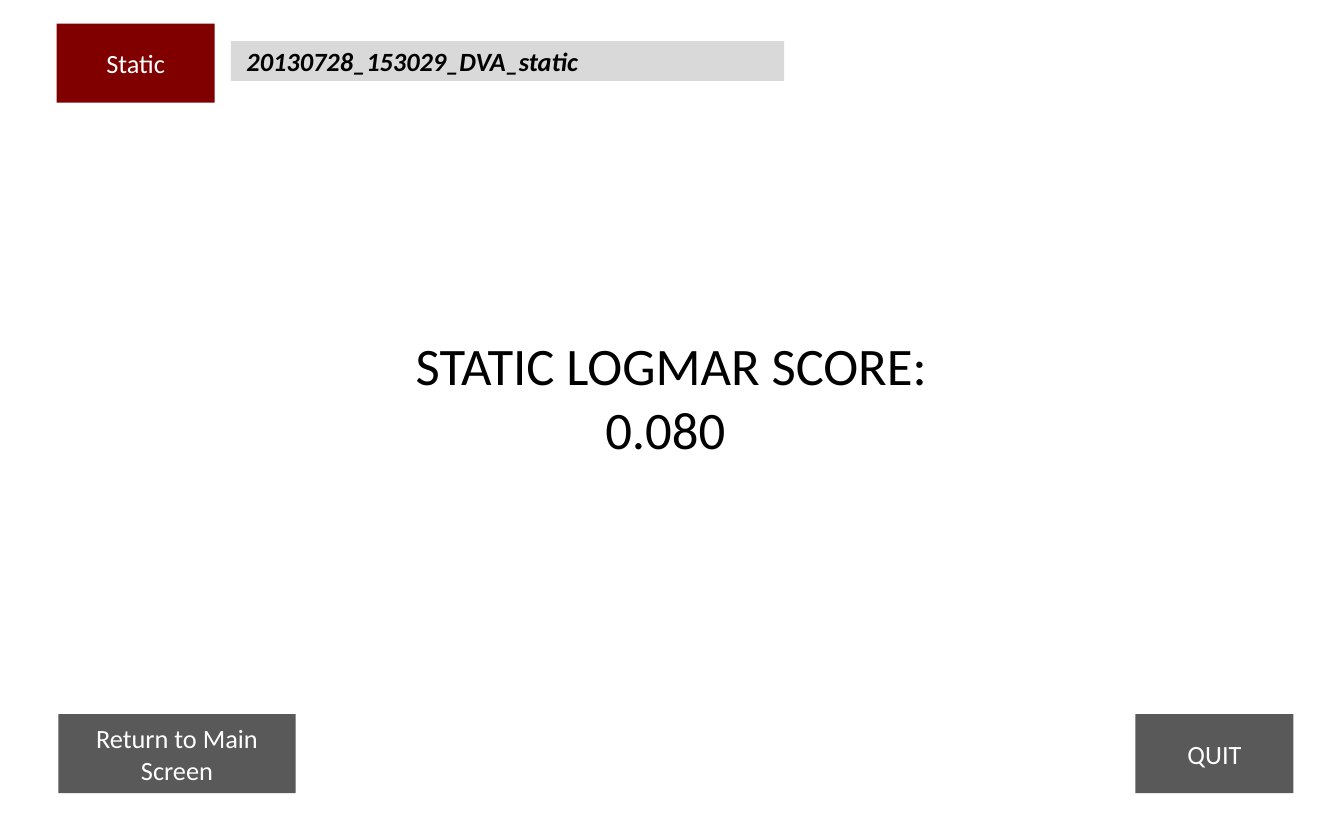
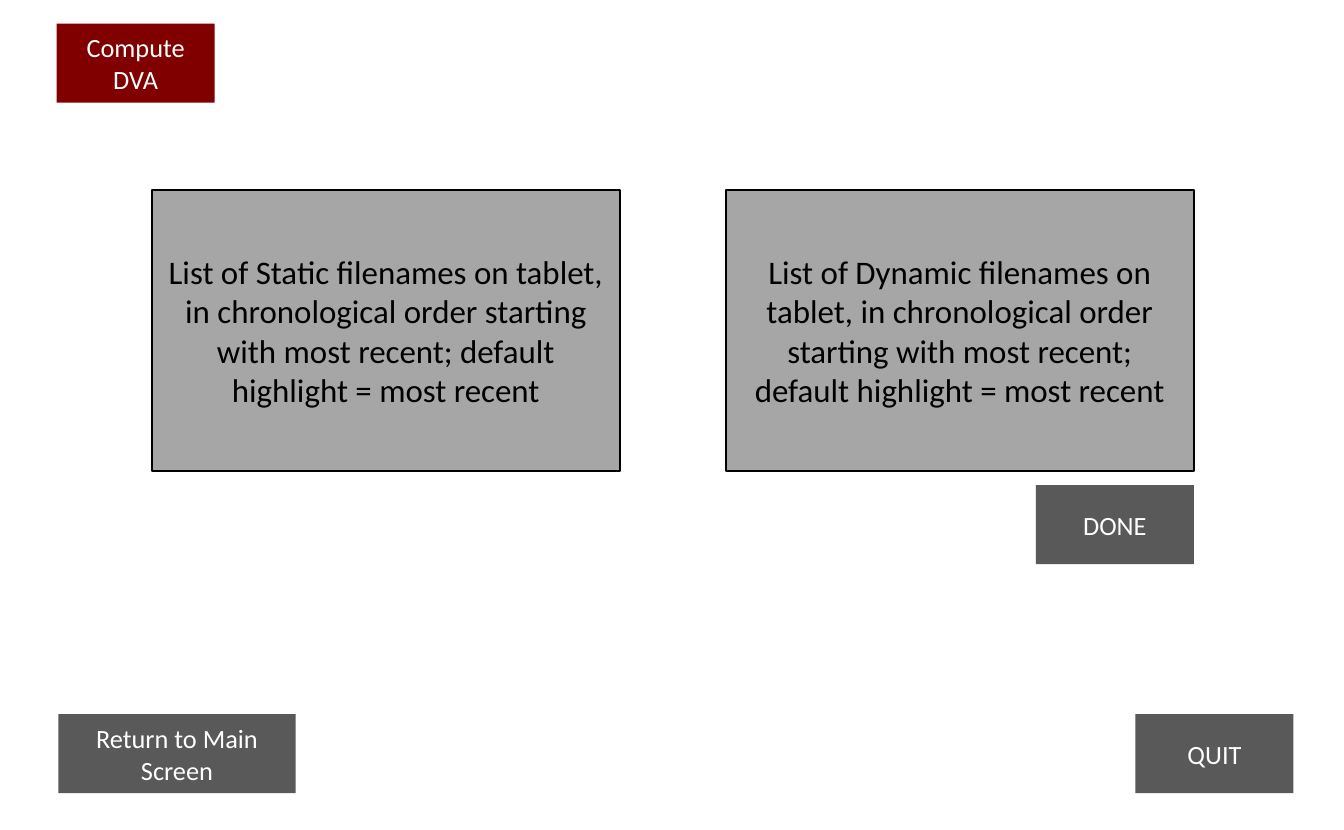
import pptx
import pptx.dml.color
import pptx.enum.shapes
import pptx.enum.text
import pptx.util

Cm = pptx.util.Cm
Pt = pptx.util.Pt
RGBColor = pptx.dml.color.RGBColor
ALIGN = pptx.enum.text.PP_ALIGN
ANCHOR = pptx.enum.text.MSO_ANCHOR
AUTO_SIZE = pptx.enum.text.MSO_AUTO_SIZE
RECTANGLE = pptx.enum.shapes.MSO_SHAPE.RECTANGLE

# Shared colours, sizes and text formats
BLACK = RGBColor(0x00, 0x00, 0x00)
WHITE = RGBColor(0xFF, 0xFF, 0xFF)
DARK_RED = RGBColor(0x80, 0x00, 0x00)
DARK_GREY = RGBColor(0x59, 0x59, 0x59)
MID_GREY = RGBColor(0xA6, 0xA6, 0xA6)
LIGHT_GREY = RGBColor(0xD9, 0xD9, 0xD9)

BUTTON_WIDTH, BUTTON_HEIGHT = Cm(2.54), Cm(1.27)
BUTTON_TEXT = {"size": Pt(12), "color": WHITE}
FILE_TEXT = {"size": Pt(12), "color": BLACK, "bold": True, "italic": True}
SCORE_TEXT = {"size": Pt(24), "color": BLACK}
LIST_TEXT = {"size": Pt(15), "color": BLACK}


def write_text(box, text, text_format, align=ALIGN.CENTER):
    """Fill a box with one paragraph per line of text."""
    frame = box.text_frame
    frame.text = text
    for para in frame.paragraphs:
        para.alignment = align
        for span in para.runs:
            span.font.name = "Calibri"
            for name, value in text_format.items():
                if name == "color":
                    span.font.color.rgb = value
                else:
                    setattr(span.font, name, value)


def add_panel(page, place, fill, text, text_format, align=ALIGN.CENTER):
    """Add a filled rectangle without outline."""
    panel = page.shapes.add_shape(RECTANGLE, *place)
    panel.shadow.inherit = False
    panel.fill.solid()
    panel.fill.fore_color.rgb = fill
    panel.line.fill.background()
    panel.text_frame.word_wrap = True
    panel.text_frame.vertical_anchor = ANCHOR.MIDDLE
    write_text(panel, text, text_format, align)
    return panel


deck = pptx.Presentation()
deck.slide_width, deck.slide_height = Cm(21.59), Cm(13.34)
title_only = deck.slide_layouts[5]

# Both pages: red title tag and the two bottom buttons
pages = []
for heading in ("Static", "Compute\nDVA"):
    page = deck.slides.add_slide(title_only)
    title = page.shapes.title
    title.left, title.top = Cm(0.91), Cm(0.38)
    title.width, title.height = BUTTON_WIDTH, BUTTON_HEIGHT
    title.fill.solid()
    title.fill.fore_color.rgb = DARK_RED
    title.text_frame.auto_size = AUTO_SIZE.NONE
    title.text_frame.vertical_anchor = ANCHOR.MIDDLE
    write_text(title, heading, BUTTON_TEXT)
    for left, width, label in (
        (Cm(0.94), Cm(3.81), "Return to Main Screen"),
        (Cm(18.24), BUTTON_WIDTH, "QUIT"),
    ):
        add_panel(page, (left, Cm(11.48), width, BUTTON_HEIGHT),
                  DARK_GREY, label, BUTTON_TEXT)
    pages.append(page)
score_page, compute_page = pages

# Score page: file name strip and result
add_panel(score_page, (Cm(3.71), Cm(0.66), Cm(8.89), Cm(0.64)), LIGHT_GREY,
          "20130728_153029_DVA_static", FILE_TEXT, ALIGN.LEFT)
score = score_page.shapes.add_textbox(Cm(6.3), Cm(5.23), Cm(8.97), Cm(2.31))
score.text_frame.word_wrap = False
score.text_frame.auto_size = AUTO_SIZE.SHAPE_TO_FIT_TEXT
write_text(score, "STATIC LOGMAR SCORE:\n0.080 ", SCORE_TEXT)

# Compute page: two file lists and the button below them
for left, kind in ((Cm(2.44), "Static"), (Cm(11.66), "Dynamic")):
    file_list = add_panel(
        compute_page, (left, Cm(3.05), Cm(7.52), Cm(4.52)), MID_GREY,
        f"List of {kind} filenames on tablet, in chronological order "
        "starting with most recent; default highlight = most recent",
        LIST_TEXT)
    file_list.line.color.rgb = BLACK
    file_list.line.width = Pt(0.75)
add_panel(compute_page, (Cm(16.64), Cm(7.8), BUTTON_WIDTH, BUTTON_HEIGHT),
          DARK_GREY, "DONE", BUTTON_TEXT)

deck.save("out.pptx")
